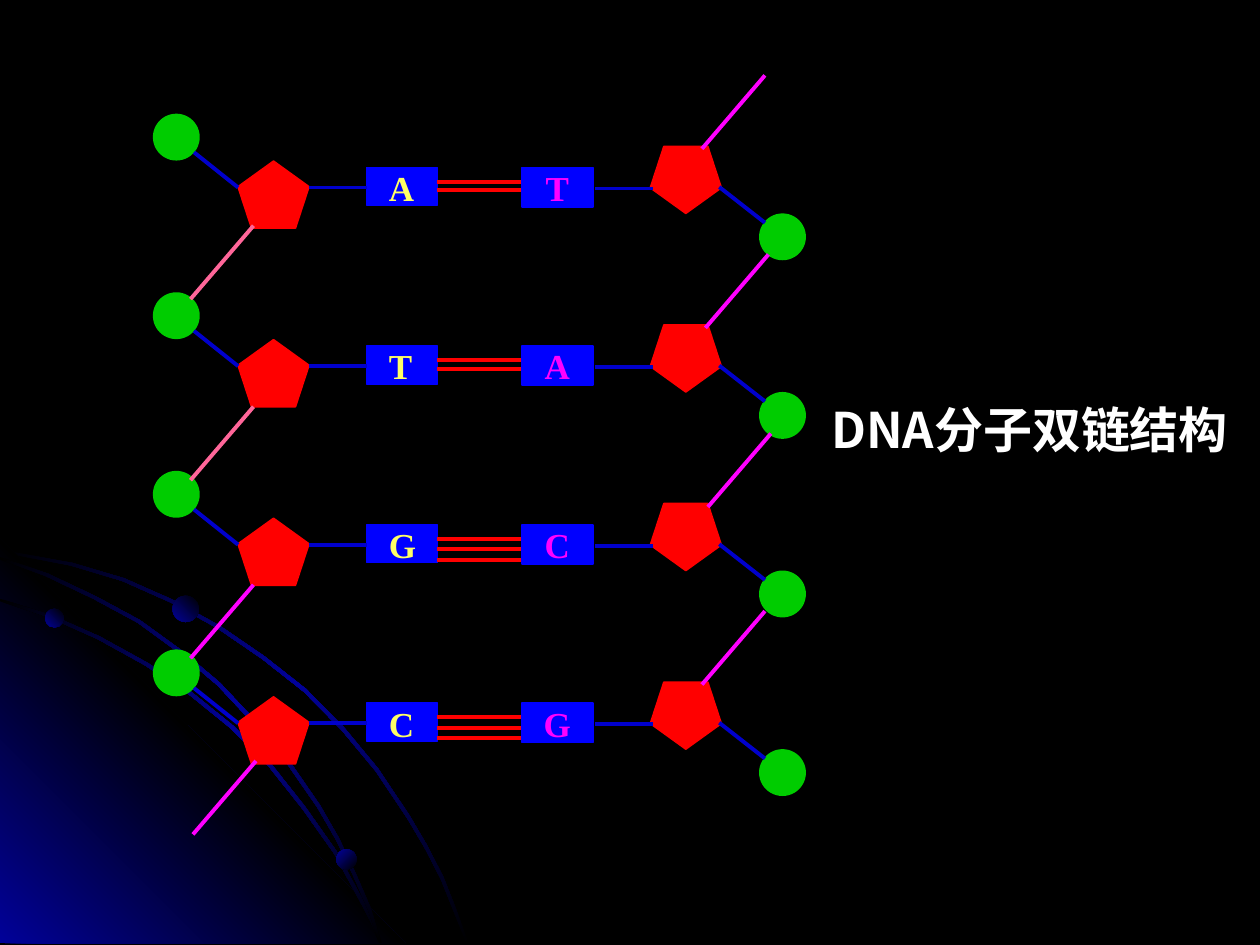
from dataclasses import dataclass

from lxml.etree import SubElement
from pptx import Presentation
from pptx.dml.color import RGBColor
from pptx.enum.shapes import MSO_CONNECTOR, MSO_SHAPE
from pptx.enum.text import MSO_ANCHOR, PP_ALIGN
from pptx.oxml.ns import qn
from pptx.util import Cm, Pt


@dataclass(frozen=True)
class Theme:
    background: str = "000000"
    glow: str = "010199"
    sugar: str = "FF0000"
    phosphate: str = "00CC00"
    base: str = "0000FF"
    bond: str = "0000CC"
    hydrogen: str = "FF0000"
    strand: str = "FF00FF"
    strand_light: str = "FF6699"
    left_letter: str = "FFFF66"
    right_letter: str = "FF00FF"
    title: str = "FFFFFF"
    letter_font: str = "Times New Roman"
    title_font: str = "Noto Sans CJK JP"
    letter_size: int = 20
    title_size: int = 28
    outline: float = 1
    stroke: float = 2.25


THEME = Theme()
FADE = (THEME.background, THEME.glow)
BAND = (THEME.background, THEME.glow, THEME.background)
CORNER = (THEME.glow, THEME.background, THEME.glow)

PITCH = 3.6
PAIRS = [("A", "T", 2), ("T", "A", 2), ("G", "C", 3), ("C", "G", 3)]
LEFT_STRAND = [(5.11, 4.55, THEME.strand_light), (5.11, 8.2, THEME.strand_light),
               (5.11, 11.79, THEME.strand), (5.16, 15.34, THEME.strand)]
RIGHT_STRAND = [(15.42, 1.52), (15.49, 5.13), (15.54, 8.74), (15.42, 12.32)]

# Background outlines, in hundredths of a centimetre
BOTTOM = 1902
TRIANGLE = [(818, BOTTOM), (0, BOTTOM), (0, 1085)]
OUTER_ARC = [(0, 1113), (142, 1140), (246, 1171), (343, 1214), (439, 1267),
             (528, 1328), (612, 1394), (688, 1471), (757, 1554), (820, 1648),
             (856, 1709), (889, 1773), (914, 1836), (940, BOTTOM)]
INNER_ARC = [(0, 1212), (99, 1245), (196, 1288), (292, 1341), (381, 1400),
             (465, 1468), (541, 1544), (610, 1631), (673, 1720), (724, 1814),
             (747, 1859), (765, BOTTOM)]
MIDDLE_ARC = [(0, 1128), (91, 1161), (188, 1207), (277, 1255), (361, 1316),
              (439, 1382), (513, 1461), (577, 1537), (640, 1628), (678, 1694),
              (711, 1763), (742, 1834), (765, BOTTOM)]
PLANETS = [(0.91, 12.27, 0.38, 135), (6.78, 17.12, 0.41, 225),
           (3.48, 12.01, 0.53, 135)]


def rgb(color):
    return RGBColor.from_string(color)


def fill_gradient(shape, colors, angle):
    """Spread the colours evenly along a clockwise angle, with no outline."""
    shape.shadow.inherit = False
    shape.line.fill.background()
    shape.fill.gradient()
    shape.fill.gradient_angle = 360 - angle
    stops = shape._element.spPr.find(qn("a:gradFill")).find(qn("a:gsLst"))
    for stop in list(stops):
        stops.remove(stop)
    for index, color in enumerate(colors):
        position = 100000 * index // (len(colors) - 1)
        stop = SubElement(stops, qn("a:gs"), pos=str(position))
        SubElement(stop, qn("a:srgbClr"), val=color)


def add_outline(page, points, colors, angle):
    builder = page.shapes.build_freeform(*points[0], scale=Cm(0.01))
    builder.add_line_segments(points[1:], close=True)
    fill_gradient(builder.convert_to_shape(), colors, angle)


def add_arc(page, edge):
    """Draw a thin ribbon whose upper edge is the lower one, shifted."""
    upper = [(x + 5 if x else 0, y - 5 if y < BOTTOM else y)
             for x, y in reversed(edge)]
    add_outline(page, edge + upper, BAND, 225)


def add_backdrop(page):
    page.background.fill.solid()
    page.background.fill.fore_color.rgb = rgb(THEME.background)
    add_arc(page, OUTER_ARC)
    add_outline(page, TRIANGLE, CORNER, 135)
    add_arc(page, INNER_ARC)
    add_arc(page, MIDDLE_ARC)
    for left, top, size, angle in PLANETS:
        planet = page.shapes.add_shape(
            MSO_SHAPE.OVAL, Cm(left), Cm(top), Cm(size), Cm(size))
        fill_gradient(planet, FADE, angle)


def add_solid(page, kind, left, top, width, height, color):
    shape = page.shapes.add_shape(kind, Cm(left), Cm(top), Cm(width), Cm(height))
    shape.shadow.inherit = False
    shape.fill.solid()
    shape.fill.fore_color.rgb = rgb(color)
    shape.line.color.rgb = rgb(color)
    shape.line.width = Pt(THEME.outline)
    return shape


def add_line(page, start, end, color):
    line = page.shapes.add_connector(
        MSO_CONNECTOR.STRAIGHT, *(Cm(value) for value in start + end))
    line.line.color.rgb = rgb(color)
    line.line.width = Pt(THEME.stroke)
    SubElement(line._element.spPr, qn("a:effectLst"))


def add_span(para, text, font, size, color):
    span = para.add_run()
    span.text = text
    span.font.name = font
    span.font.size = Pt(size)
    span.font.bold = True
    span.font.color.rgb = rgb(color)
    return span


def add_text(page, left, top, width, height, wrap):
    box = page.shapes.add_textbox(Cm(left), Cm(top), Cm(width), Cm(height))
    box.text_frame.word_wrap = wrap
    return box.text_frame.paragraphs[0]


def add_left_nucleotide(page, letter, drop):
    add_solid(page, MSO_SHAPE.REGULAR_PENTAGON, 4.8, 3.25 + drop, 1.43, 1.35, THEME.sugar)
    add_solid(page, MSO_SHAPE.RECTANGLE, 7.39, 3.38 + drop, 1.43, 0.76, THEME.base)
    add_solid(page, MSO_SHAPE.OVAL, 3.1, 2.31 + drop, 0.91, 0.91, THEME.phosphate)
    add_line(page, (6.22, 3.78 + drop), (7.39, 3.78 + drop), THEME.bond)
    add_line(page, (3.91, 3.07 + drop), (4.8, 3.78 + drop), THEME.bond)
    para = add_text(page, 7.59, 3.23 + drop, 1.02, 1.12, False)
    add_span(para, letter, THEME.letter_font, THEME.letter_size, THEME.left_letter)


def add_right_nucleotide(page, letter, drop):
    sugar = add_solid(page, MSO_SHAPE.REGULAR_PENTAGON, 13.11, 2.95 + drop, 1.43, 1.35,
                      THEME.sugar)
    sugar.rotation = 180
    base = add_solid(page, MSO_SHAPE.RECTANGLE, 10.52, 3.38 + drop, 1.43, 0.79, THEME.base)
    base.text_frame.word_wrap = False
    base.text_frame.vertical_anchor = MSO_ANCHOR.MIDDLE
    para = base.text_frame.paragraphs[0]
    para.alignment = PP_ALIGN.CENTER
    add_span(para, letter, THEME.letter_font, THEME.letter_size, THEME.right_letter)
    add_solid(page, MSO_SHAPE.OVAL, 15.32, 4.32 + drop, 0.91, 0.91, THEME.phosphate)
    add_line(page, (13.16, 3.8 + drop), (11.99, 3.8 + drop), THEME.bond)
    add_line(page, (15.42, 4.49 + drop), (14.5, 3.77 + drop), THEME.bond)


def add_hydrogen_bonds(page, count, drop):
    gap, middle = (0.21, 3.87) if count == 3 else (0.17, 3.75)
    for index in range(count):
        y = middle + drop + gap * (index - (count - 1) / 2)
        add_line(page, (8.81, y), (10.5, y), THEME.hydrogen)


def add_strand_link(page, x, y, color):
    add_line(page, (x, y), (x - 1.27, y + 1.48), color)


def add_title(page):
    para = add_text(page, 16.51, 7.92, 8.89, 1.45, True)
    span = add_span(para, "DNA分子双链结构", THEME.title_font, THEME.title_size, THEME.title)
    SubElement(span.font._element, qn("a:ea"), typeface=THEME.title_font)


def main():
    deck = Presentation()
    deck.slide_width, deck.slide_height = Cm(25.4), Cm(19.05)
    page = deck.slides.add_slide(deck.slide_layouts[6])
    add_backdrop(page)
    for row, (left, right, bonds) in enumerate(PAIRS):
        drop = row * PITCH
        add_left_nucleotide(page, left, drop)
        add_right_nucleotide(page, right, drop)
        add_hydrogen_bonds(page, bonds, drop)
    for x, y, color in LEFT_STRAND:
        add_strand_link(page, x, y, color)
    for x, y in RIGHT_STRAND:
        add_strand_link(page, x, y, THEME.strand)
    add_title(page)
    deck.save("out.pptx")


if __name__ == "__main__":
    main()
